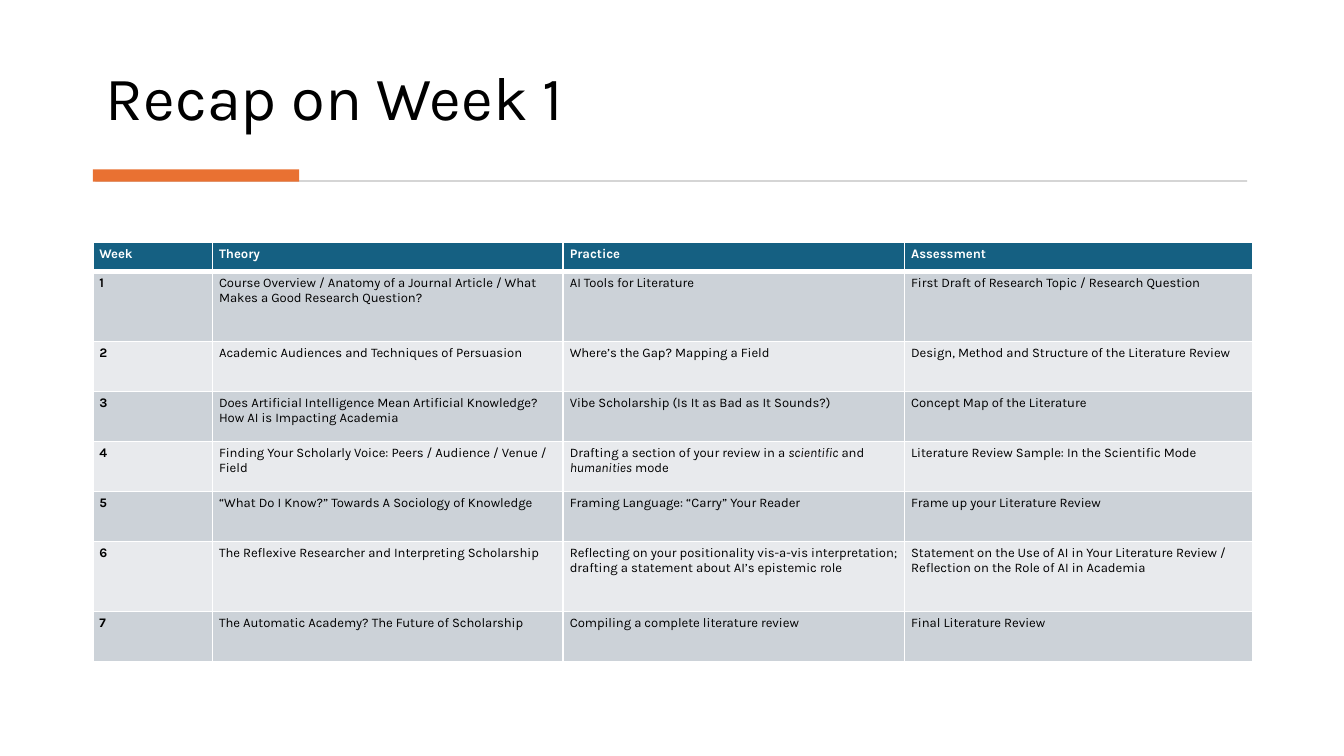
"""Build the weekly recap slide with its course schedule table."""
from lxml import etree
from pptx import Presentation
from pptx.dml.color import RGBColor
from pptx.enum.shapes import MSO_SHAPE
from pptx.enum.text import MSO_ANCHOR
from pptx.oxml.ns import qn
from pptx.util import Inches, Pt

RECT = MSO_SHAPE.RECTANGLE
BOTTOM = MSO_ANCHOR.BOTTOM
FONT = "Karla"
LEFT = 6.9
COLS = [8.9, 26.1, 25.4, 25.9]
ROWS = [3.84, 9.27, 6.62, 6.62, 6.62, 6.62, 9.27, 6.62]
BANDS = ["E8EAED", "CCD2D8"]
HEADER = "156082"
BORDERS = {"a:lnL": 1, "a:lnR": 1, "a:lnT": 1, "a:lnB": 1}
MARGINS = {
    "margin_left": Inches(0.05),
    "margin_right": Inches(0.05),
    "margin_top": Inches(0.03),
    "margin_bottom": Inches(0.03),
}
SCHEDULE = [
    ["Week", "Theory", "Practice", "Assessment"],
    ["1", "Course Overview / Anatomy of a Journal Article / What Makes a Good Research Question?",
     "AI Tools for Literature", "First Draft of Research Topic / Research Question"],
    ["2", "Academic Audiences and Techniques of Persuasion",
     "Where’s the Gap? Mapping a Field", "Design, Method and Structure of the Literature Review"],
    ["3", "Does Artificial Intelligence Mean Artificial Knowledge? How AI is Impacting Academia",
     "Vibe Scholarship (Is It as Bad as It Sounds?)", "Concept Map of the Literature"],
    ["4", "Finding Your Scholarly Voice: Peers / Audience / Venue / Field",
     "Drafting a section of your review in a *scientific* and *humanities* mode",
     "Literature Review Sample: In the Scientific Mode"],
    ["5", "“What Do I Know?” Towards A Sociology of Knowledge",
     "Framing Language: “Carry” Your Reader", "Frame up your Literature Review"],
    ["6", "The Reflexive Researcher and Interpreting Scholarship",
     "Reflecting on your positionality vis-a-vis interpretation; "
     "drafting a statement about AI’s epistemic role",
     "Statement on the Use of AI in Your Literature Review / "
     "Reflection on the Role of AI in Academia"],
    ["7", "The Automatic Academy? The Future of Scholarship",
     "Compiling a complete literature review", "Final Literature Review"],
]

prs = Presentation()
prs.slide_width, prs.slide_height = Inches(10), Inches(10) * 9 // 16
s = prs.slides.add_slide(prs.slide_layouts[6])


def box(*shares):
    """Turn percentages of the slide's width and height into lengths."""
    sizes = [prs.slide_width, prs.slide_height] * 2
    return [round(size * share / 100) for size, share in zip(sizes, shares)]


def add_run(p, text, color, **fmt):
    """Add a run in the slide's font with the given format values."""
    r = p.add_run()
    r.text = text
    r.font.color.rgb = RGBColor.from_string(color)
    for name, value in {"name": FONT, **fmt}.items():
        setattr(r.font, name, value)


tf = s.shapes.add_textbox(*box(LEFT, 3.77, 86.2, 14.76)).text_frame
for name, value in {"word_wrap": True, "vertical_anchor": BOTTOM}.items():
    setattr(tf, name, value)
p = tf.paragraphs[0]
p.line_spacing = 0.9
add_run(p, "Recap on Week 1", "000000", size=Pt(33))

for bounds, color in [((7.1, 23.82, 85.7, 0.24), "D5D5D5"),
                      ((LEFT, 22.42, 15.35, 1.6), "E97132")]:
    sp = s.shapes.add_shape(RECT, *box(*bounds))
    sp.shadow.inherit = False
    sp.fill.solid()
    sp.fill.fore_color.rgb = RGBColor.from_string(color)
    sp.line.fill.background()

bounds = box(LEFT, 32.05, sum(COLS), sum(ROWS))
table = s.shapes.add_table(len(ROWS), len(COLS), *bounds).table
for column, share in zip(table.columns, COLS):
    column.width = box(share)[0]
for row, share in zip(table.rows, ROWS):
    row.height = box(0, share)[1]

for i, texts in enumerate(SCHEDULE):
    header = i == 0
    for j, text in enumerate(texts):
        cell = table.cell(i, j)
        for name, value in MARGINS.items():
            setattr(cell, name, value)
        tcPr = cell._tc.get_or_add_tcPr()
        for tag, width in BORDERS.items():
            if header and tag == "a:lnB":
                width = 3
            ln = etree.SubElement(tcPr, qn(tag), w=str(Pt(width)))
            fill = etree.SubElement(ln, qn("a:solidFill"))
            etree.SubElement(fill, qn("a:srgbClr"), val="FFFFFF")
        cell.fill.solid()
        cell.fill.fore_color.rgb = RGBColor.from_string(HEADER if header else BANDS[i % 2])
        for k, part in enumerate(text.split("*")):
            add_run(cell.text_frame.paragraphs[0], part, "FFFFFF" if header else "000000",
                    size=Pt(7), bold=header or j == 0, italic=k % 2 == 1)

prs.save("out.pptx")
